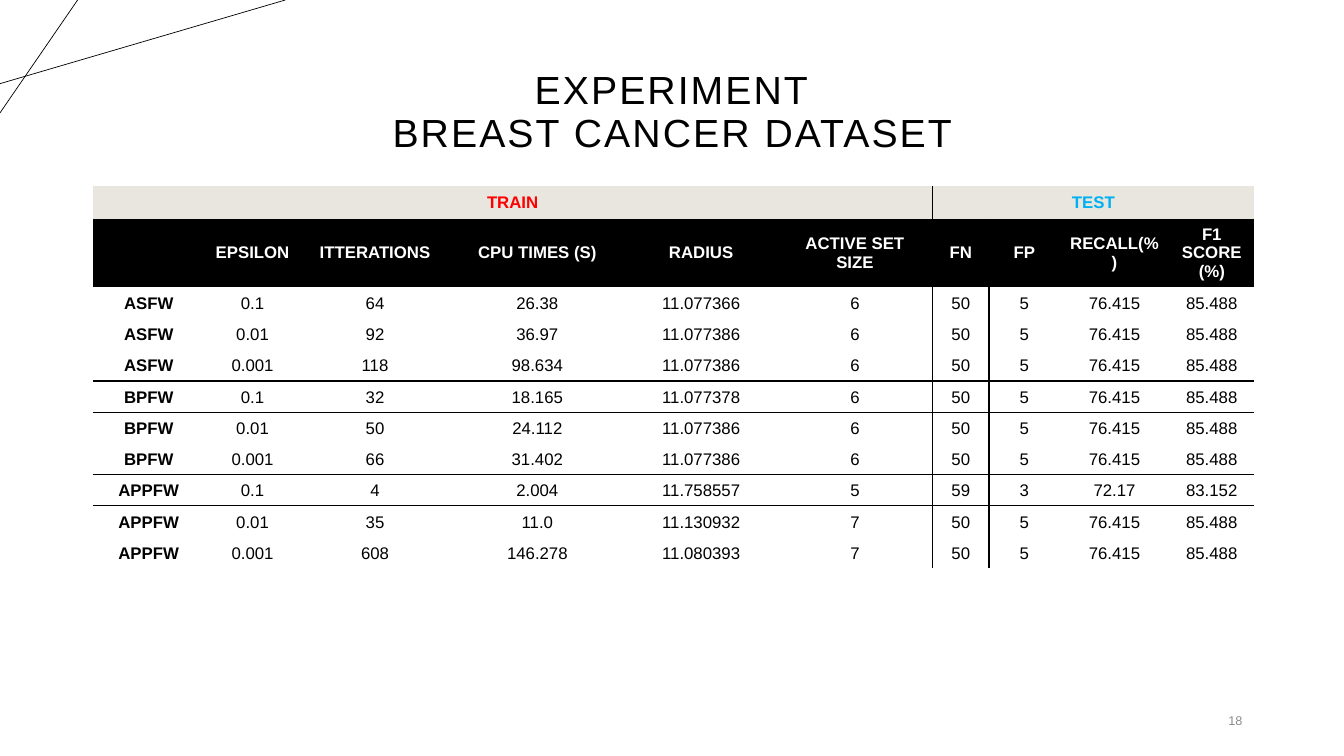
import pptx
import pptx.dml.color
import pptx.enum.shapes
import pptx.enum.text
import pptx.oxml
import pptx.oxml.ns
import pptx.util

Inches, Pt = pptx.util.Inches, pptx.util.Pt
ALIGN, ANCHOR = pptx.enum.text.PP_ALIGN, pptx.enum.text.MSO_ANCHOR
BLACK, WHITE, BAND = "000000", "FFFFFF", "E9E6DF"


def color(value):
    return pptx.dml.color.RGBColor.from_string(value)


def style(p, size, ink, bold=False, **layout):
    for name, value in layout.items():
        setattr(p, name, value)
    for r in p.runs:
        for name, value in {"name": "Arial", "size": Pt(size), "bold": bold}.items():
            setattr(r.font, name, value)
        r.font.color.rgb = color(ink)


prs = pptx.Presentation()
prs.slide_width, prs.slide_height = Inches(13.33), Inches(7.5)
slide = prs.slides.add_slide(prs.slide_layouts[5])
left, width = Inches(0.92), Inches(11.5)

# Corner lines
for ends in ((0, 0.83, 2.83, 0), (0.77, 0, 0, 1.12)):
    line = slide.shapes.add_connector(
        pptx.enum.shapes.MSO_CONNECTOR.STRAIGHT, *map(Inches, ends))
    line.line.color.rgb = color(BLACK)
    line.line.width = Pt(0.5)
    line._element.spPr.append(pptx.oxml.parse_xml(
        f'<a:effectLst {pptx.oxml.ns.nsdecls("a")}/>'))

# Title
title = slide.shapes.title
title.left, title.top, title.width, title.height = left, Inches(0.4), width, Inches(1.45)
tf = title.text_frame
tf.text = "EXPERIMENT\vBREAST CANCER DATASET"
tf.vertical_anchor = ANCHOR.MIDDLE
p = tf.paragraphs[0]
style(p, 28, BLACK, alignment=ALIGN.CENTER, line_spacing=0.9)
for r in p.runs:
    r.font._element.set("spc", "150")

# Slide number
sp = slide.shapes.add_textbox(Inches(9.42), Inches(6.95), Inches(3), Inches(0.4))
tf = sp.text_frame
tf.word_wrap = True
tf.vertical_anchor = ANCHOR.MIDDLE
tf.text = "18"
style(tf.paragraphs[0], 9, "8C8C8C", alignment=ALIGN.RIGHT)

# Table contents: group row, column heads, then three runs of each method
first_test = 6
groups = {0: ("TRAIN", "FF0000"), first_test: ("TEST", "00B0F0")}
heads = ["", "EPSILON", "ITTERATIONS", "CPU TIMES (S)", "RADIUS",
         "ACTIVE SET SIZE", "FN", "FP", "RECALL(%)", "F1 SCORE (%)"]
usual = "50 5 76.415 85.488"
results = [
    f"ASFW 0.1 64 26.38 11.077366 6 {usual}",
    f"ASFW 0.01 92 36.97 11.077386 6 {usual}",
    f"ASFW 0.001 118 98.634 11.077386 6 {usual}",
    f"BPFW 0.1 32 18.165 11.077378 6 {usual}",
    f"BPFW 0.01 50 24.112 11.077386 6 {usual}",
    f"BPFW 0.001 66 31.402 11.077386 6 {usual}",
    "APPFW 0.1 4 2.004 11.758557 5 59 3 72.17 83.152",
    f"APPFW 0.01 35 11.0 11.130932 7 {usual}",
    f"APPFW 0.001 608 146.278 11.080393 7 {usual}",
]
top_row = [groups.get(col, ("",))[0] for col in range(len(heads))]
rows = [top_row, heads] + [result.split() for result in results]

# Table grid
sp = slide.shapes.add_table(len(rows), len(heads), left, Inches(1.85), width, Inches(3.44))
table = sp.table
table.first_row = table.horz_banding = False
sp._element.xpath(".//a:tableStyleId")[0].text = "{2D5ABB26-0587-4C30-8999-92F81FD0307C}"
for col, size in enumerate((1.11, 0.95, 1.48, 1.74, 1.51, 1.54, 0.56, 0.7, 1.09, 0.84)):
    table.columns[col].width = Inches(size)
for row in range(len(rows)):
    table.rows[row].height = Inches({0: 0.32, 1: 0.33}.get(row, 0.31))
table.cell(0, 0).merge(table.cell(0, first_test - 1))
table.cell(0, first_test).merge(table.cell(0, len(heads) - 1))

# Cells
for row, values in enumerate(rows):
    for col, value in enumerate(values):
        cell = table.cell(row, col)
        body = row > 1
        side, edge = (Inches(0.07), 0) if body else (Inches(0.08), Inches(0.04))
        for name, amount in {"margin_left": side, "margin_right": side,
                             "margin_top": edge, "margin_bottom": edge,
                             "vertical_anchor": ANCHOR.MIDDLE}.items():
            setattr(cell, name, amount)

        # Rules between train and test, and between methods
        rules = {"lnL": col == first_test, "lnR": col == first_test - 1,
                 "lnT": row in (5, 8), "lnB": row in (4, 7)}
        for tag, shown in rules.items():
            if shown:
                cell._tc.get_or_add_tcPr().append(pptx.oxml.parse_xml(
                    f'<a:{tag} {pptx.oxml.ns.nsdecls("a")} w="12700"><a:solidFill>'
                    f'<a:srgbClr val="{BLACK}"/></a:solidFill></a:{tag}>'))
        if body:
            cell.fill.background()
        else:
            cell.fill.solid()
            cell.fill.fore_color.rgb = color(BLACK if row else BAND)

        if value:
            cell.text = value
            ink = BLACK if body else WHITE if row else groups[col][1]
            spacing = {"line_spacing": 1.07, "space_after": Pt(4)} if body else {}
            style(cell.text_frame.paragraphs[0], 12, ink, not body or col == 0,
                  alignment=ALIGN.CENTER, **spacing)

prs.save("out.pptx")
